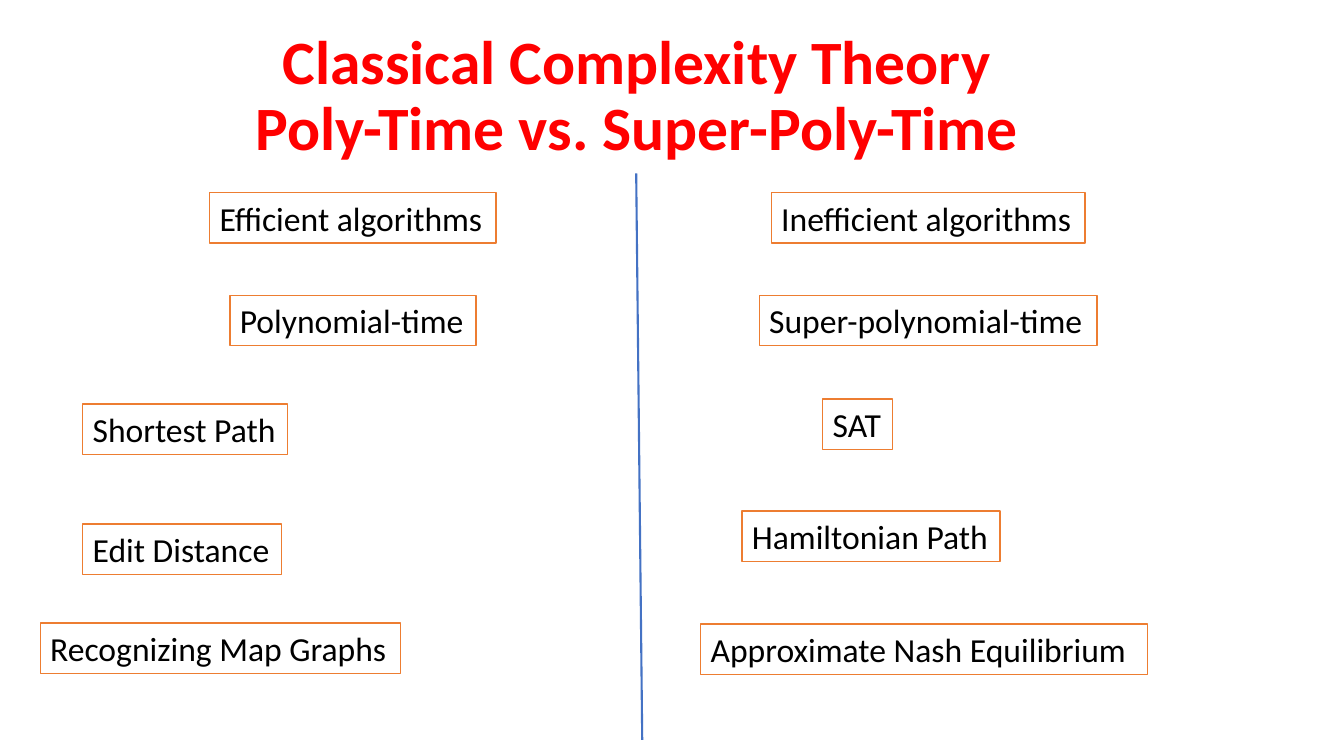
"""Builds a slide contrasting polynomial and super-polynomial time problems."""
from lxml.etree import SubElement
from pptx import Presentation
from pptx.dml.color import RGBColor
from pptx.enum.shapes import MSO_CONNECTOR as Connector, MSO_SHAPE as Shape
from pptx.enum.text import MSO_ANCHOR as Anchor, MSO_AUTO_SIZE as AutoSize, PP_ALIGN as Align
from pptx.oxml.ns import qn
from pptx.util import Inches, Pt


def colour(value):
    return RGBColor.from_string(value)


def add_span(para, text, size, shade, bold=False):
    span = para.add_run()
    span.text = text
    span.font.name = "Calibri"
    span.font.size = Pt(size)
    span.font.bold = bold
    span.font.color.rgb = colour(shade)


deck = Presentation()
deck.slide_width = Inches(13.33)
deck.slide_height = Inches(7.5)
page = deck.slides.add_slide(deck.slide_layouts.get_by_name("Title Only"))

title = page.shapes.title
title.left, title.top = Inches(0.54), Inches(0.22)
title.width, title.height = Inches(11.56), Inches(1.46)
title.text_frame.auto_size = AutoSize.NONE
title.text_frame.vertical_anchor = Anchor.BOTTOM
para = title.text_frame.paragraphs[0]
para.alignment = Align.CENTER
para.line_spacing = 0.9
add_span(para, "Classical Complexity Theory", 44, "FF0000", True)
para.add_line_break()
add_span(para, "Poly-Time vs. Super-Poly-Time", 44, "FF0000", True)

labels = [
    ("Efficient algorithms", 2.08, 1.91, 2.84),
    ("Polynomial-time", 2.28, 2.93, 2.44),
    ("Inefficient algorithms", 7.65, 1.91, 3.11),
    ("Super-polynomial-time", 7.53, 2.93, 3.35),
    ("Shortest Path", 0.82, 4.01, 2.03),
    ("Edit Distance", 0.82, 5.2, 1.97),
    ("Recognizing Map Graphs", 0.4, 6.18, 3.57),
    ("SAT", 8.16, 3.96, 0.69),
    ("Hamiltonian Path", 7.36, 5.07, 2.56),
    ("Approximate Nash Equilibrium", 6.95, 6.19, 4.43),
]
for text, left, top, width in labels:
    box = page.shapes.add_shape(
        Shape.RECTANGLE, Inches(left), Inches(top), Inches(width), Inches(0.5))
    box.shadow.inherit = False
    box.fill.solid()
    box.fill.fore_color.rgb = colour("FFFFFF")
    box.line.color.rgb = colour("ED7D31")
    box.line.width = Pt(1)
    frame = box.text_frame
    frame.word_wrap = True
    frame.margin_right = 0
    frame.vertical_anchor = Anchor.TOP
    para = frame.paragraphs[0]
    para.alignment = Align.LEFT
    add_span(para, text, 24, "000000")

divider = page.shapes.add_connector(
    Connector.STRAIGHT, Inches(6.31), Inches(1.72), Inches(6.37), Inches(7.34))
divider.line.color.rgb = colour("4472C4")
divider.line.width = Pt(1.5)
SubElement(divider._element.spPr, qn("a:effectLst"))

deck.save("out.pptx")
